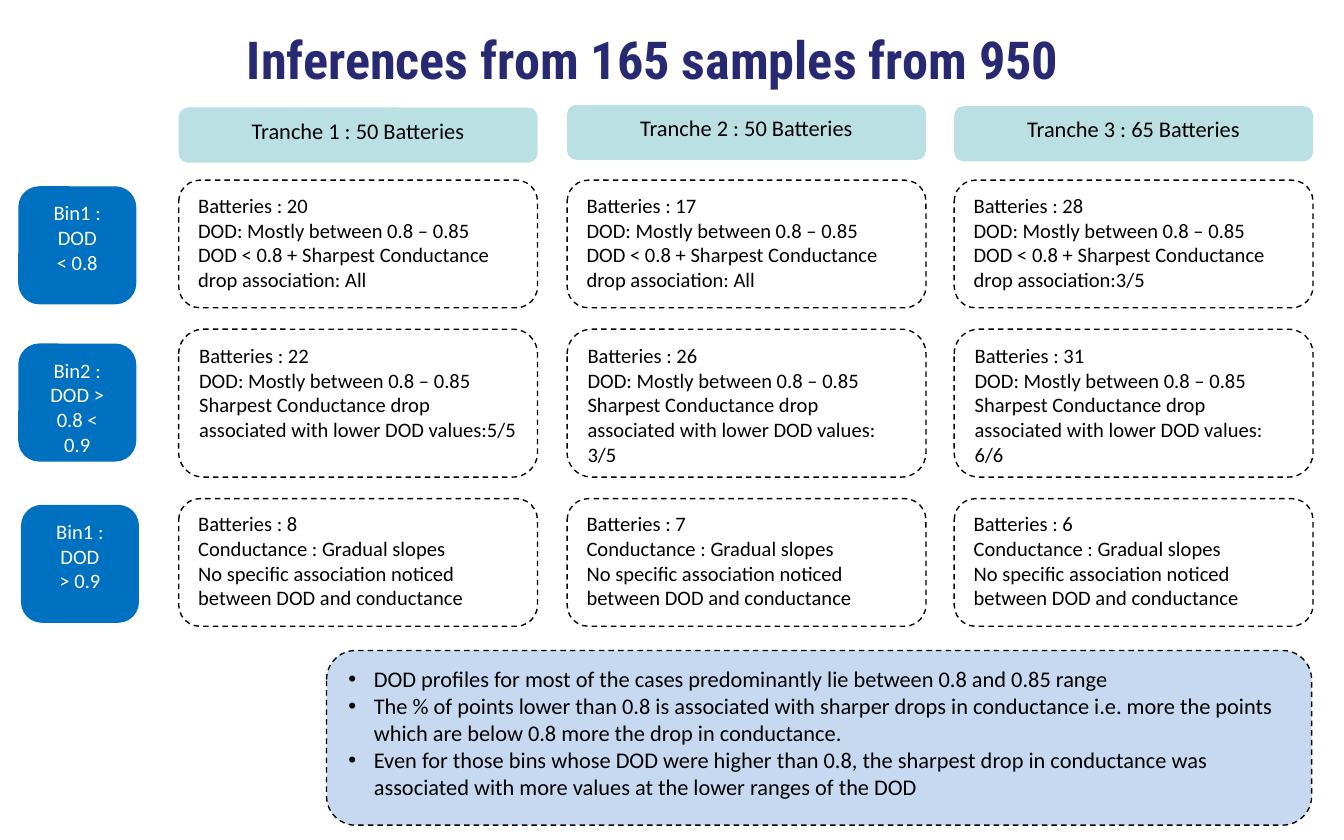
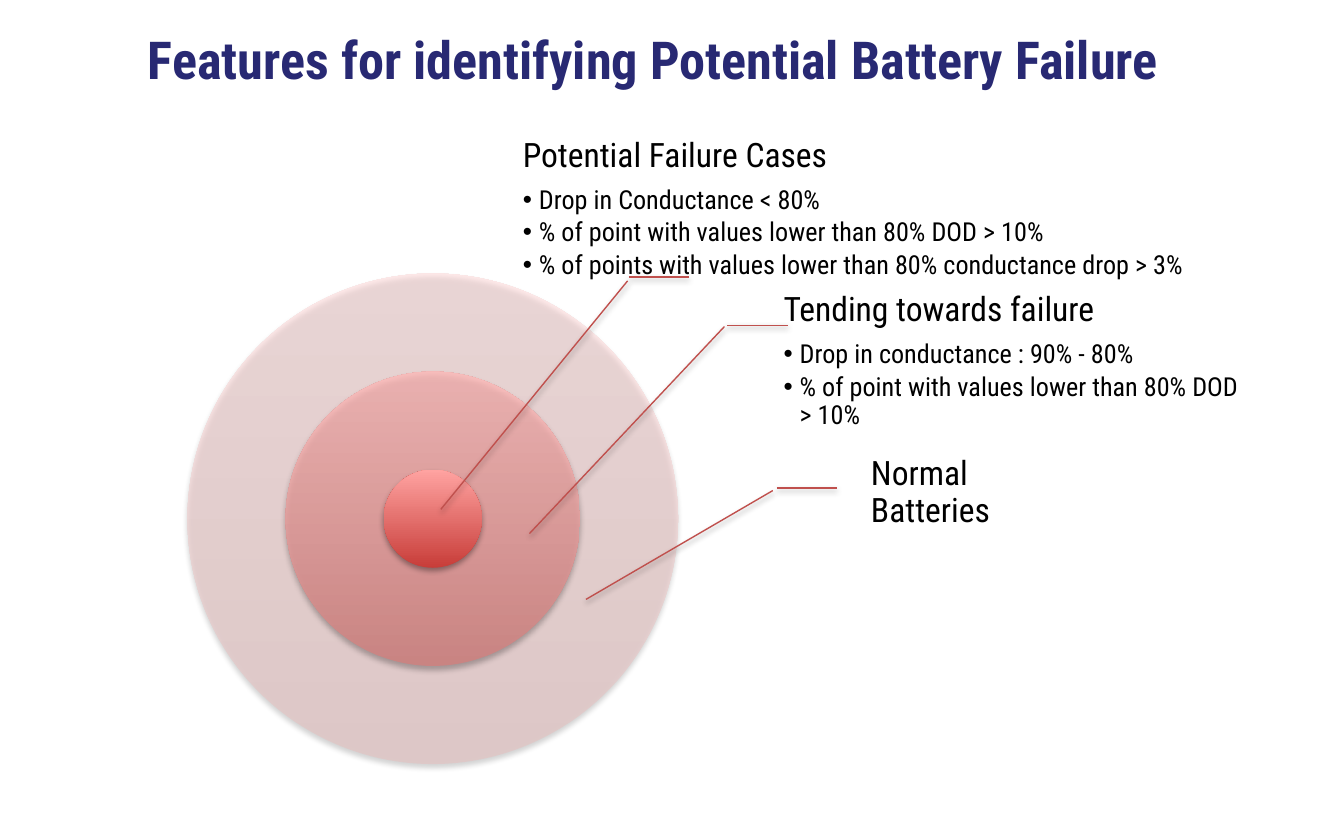
"""Builds two slides on battery inferences and failure features."""
from lxml.etree import SubElement
from pptx import Presentation
from pptx.dml.color import RGBColor
from pptx.enum.dml import MSO_LINE
from pptx.enum.shapes import MSO_CONNECTOR, MSO_SHAPE
from pptx.enum.text import MSO_ANCHOR, MSO_AUTO_SIZE, PP_ALIGN
from pptx.oxml.ns import qn
from pptx.util import Inches, Pt

NAVY, TEAL, BLUE, PALE = "282973", "BBE0E3", "0070C0", "C6D9F1"
BLACK, WHITE, RED = "000000", "FFFFFF", "C0504D"
BODY, HEAD = "Calibri", "Roboto Condensed"
rgb = RGBColor.from_string


def write(tf, texts, color, align=PP_ALIGN.LEFT, indent=0, **font):
    """Add paragraphs to a text frame, bulleted when an indent is given."""
    tf.word_wrap = True
    for text in texts:
        p = tf.paragraphs[0] if not tf.text else tf.add_paragraph()
        p.text, p.alignment = text, align
        for r in p.runs:
            r.font.color.rgb = rgb(color)
            for key, value in font.items():
                setattr(r.font, key, value)
        if indent:
            pPr = p._p.get_or_add_pPr()
            pPr.set("marL", str(Inches(indent)))
            pPr.set("indent", str(-Inches(indent)))
            SubElement(pPr, qn("a:buFont"), typeface="Arial")
            SubElement(pPr, qn("a:buChar"), char="•")


def cast_shadow(s, alpha, dist):
    """Give a shape or connector a soft shadow below it."""
    effects = SubElement(s._element.spPr, qn("a:effectLst"))
    shadow = SubElement(effects, qn("a:outerShdw"), blurRad=str(Pt(3.1)), dist=str(Pt(dist)),
                        dir="5400000", rotWithShape="0")
    clr = SubElement(shadow, qn("a:srgbClr"), val=BLACK)
    SubElement(clr, qn("a:alpha"), val=str(alpha * 1000))


prs = Presentation()
prs.slide_width, prs.slide_height = Inches(10), Inches(6.25)

slides = []
for title in ("Inferences from 165 samples from 950 ",
              "Features for identifying Potential Battery Failure "):
    slide = prs.slides.add_slide(prs.slide_layouts[5])
    sp = slide.shapes.title
    place = {"left": 0.45, "top": 0.16, "width": 8.9, "height": 0.55}
    for key, value in place.items():
        setattr(sp, key, Inches(value))
    sp.text_frame.auto_size = MSO_AUTO_SIZE.NONE
    sp.text_frame.vertical_anchor = MSO_ANCHOR.MIDDLE
    write(sp.text_frame, [title], NAVY, PP_ALIGN.CENTER, name=HEAD, size=Pt(28), bold=True)
    slides.append(slide)
grid, target = slides

MOSTLY = "DOD: Mostly between 0.8 – 0.85"
SHARP = "DOD < 0.8 + Sharpest Conductance drop association:"
LOWER = "Sharpest Conductance drop associated with lower DOD values:"
GRADUAL = "Conductance : Gradual slopes"
NONE_SEEN = "No specific association noticed between DOD and conductance"
rows = [
    (1.34, 0.95, MOSTLY, SHARP, [(20, " All"), (17, " All"), (28, "3/5")]),
    (2.45, 1.1, MOSTLY, LOWER, [(22, "5/5"), (26, " 3/5"), (31, " 6/6")]),
    (3.71, 0.95, GRADUAL, NONE_SEEN, [(8, ""), (7, ""), (6, "")]),
]
columns = [1.33, 4.22, 7.1]
card_w = 2.67
card = {"fill": None, "line": BLACK, "color": BLACK, "size": 11, "align": PP_ALIGN.LEFT}
header = {"fill": TEAL, "line": None, "color": BLACK, "size": 12, "align": PP_ALIGN.CENTER}
bin_box = {"fill": BLUE, "line": BLUE, "color": WHITE, "size": 11, "align": PP_ALIGN.CENTER}
summary = {**card, "fill": PALE, "size": 12, "indent": 0.19}

boxes = []
for top, height, finding, link, cells in rows:
    for x, (count, result) in zip(columns, cells):
        boxes.append((x, top, card_w, height, card,
                      [f"Batteries : {count}", finding, link + result]))
for i, (x, top, count) in enumerate(zip(columns, (0.8, 0.78, 0.79), (50, 50, 65)), 1):
    boxes.append((x, top, card_w, 0.41, header, [f"Tranche {i} : {count} Batteries"]))
boxes += [
    (0.15, 1.4, 0.85, 0.85, bin_box, ["Bin1 :", "DOD", "< 0.8"]),
    (0.15, 2.57, 0.85, 0.85, bin_box, ["Bin2 :", "DOD >\v0.8 <\v0.9"]),
    (0.17, 3.77, 0.85, 0.85, bin_box, ["Bin1 :", "DOD", "> 0.9"]),
    (2.43, 4.84, 7.33, 1.3, summary, [
        "DOD profiles for most of the cases predominantly lie between 0.8 and 0.85 range",
        "The % of points lower than 0.8 is associated with sharper drops in conductance i.e. "
        "more the points which are below 0.8 more the drop in conductance.",
        "Even for those bins whose DOD were higher than 0.8, the sharpest drop in conductance "
        "was associated with more values at the lower ranges of the DOD"]),
]
for x, y, w, h, style, texts in boxes:
    s = grid.shapes.add_shape(MSO_SHAPE.ROUNDED_RECTANGLE, *map(Inches, (x, y, w, h)))
    s.shadow.inherit = False
    if style["fill"]:
        s.fill.solid()
        s.fill.fore_color.rgb = rgb(style["fill"])
    else:
        s.fill.background()
    if style["line"]:
        s.line.color.rgb = rgb(style["line"])
        s.line.width = Pt(2 if style["line"] == BLUE else 0.75)
        if style["line"] == BLACK:
            s.line.dash_style = MSO_LINE.DASH
    else:
        s.line.fill.background()
    s.text_frame.vertical_anchor = MSO_ANCHOR.TOP
    write(s.text_frame, texts, style["color"], style["align"], style.get("indent", 0),
          name=BODY, size=Pt(style["size"]))

center_x, center_y = 3.22, 3.86
for size, dark, light, alpha in ((3.65, "E8BEBD", "FFD6D6", 50),
                                 (2.19, "D67F7D", "FFB8B7", 75),
                                 (0.73, "C83D39", "FFA3A1", 100)):
    s = target.shapes.add_shape(MSO_SHAPE.OVAL, Inches(center_x - size / 2),
                                Inches(center_y - size / 2), Inches(size), Inches(size))
    s.line.fill.background()
    s.fill.gradient()
    s.fill.gradient_angle = 90
    for stop, color, position in zip(s.fill.gradient_stops, (dark, light), (0, 1)):
        stop.color.rgb, stop.position = rgb(color), position
    for clr in s._element.spPr.iter(qn("a:srgbClr")):
        SubElement(clr, qn("a:alpha"), val=str(alpha * 1000))
    cast_shadow(s, 35, 1.8)

DOD_SHARE = "% of point with values lower than 80% DOD > 10%"
notes = [
    ((3.75, 1, 5.6, 1.06), MSO_ANCHOR.TOP, "Potential Failure Cases",
     ["Drop in Conductance < 80%", DOD_SHARE,
      "% of points with values lower than 80% conductance drop > 3%"]),
    ((5.69, 2.15, 3.66, 1.06), MSO_ANCHOR.TOP, "Tending towards failure",
     ["Drop in conductance : 90% - 80%", DOD_SHARE]),
    ((6.34, 3.42, 1.82, 0.5), MSO_ANCHOR.MIDDLE, "Normal\vBatteries", []),
]
for place, anchor, heading, points in notes:
    tf = target.shapes.add_textbox(*map(Inches, place)).text_frame
    insets = {"margin_left": 0.14, "margin_top": 0.03, "margin_right": 0.03, "margin_bottom": 0.03}
    for key, value in insets.items():
        setattr(tf, key, Inches(value))
    tf.vertical_anchor = anchor
    write(tf, [heading], BLACK, name=HEAD, size=Pt(18))
    write(tf, points, BLACK, indent=0.12, name=HEAD, size=Pt(14))
    for i, p in enumerate(tf.paragraphs):
        p.line_spacing = 0.9
        p.space_after = Pt(2.3 if i else 6.5)

leaders = [
    (4.68, 2.06, 5.13, 2.06), (4.67, 2.09, 3.28, 3.79),
    (5.41, 2.42, 5.86, 2.42), (5.39, 2.43, 3.94, 3.97),
    (5.78, 3.63, 6.23, 3.63), (5.75, 3.65, 4.36, 4.46),
]
for ends in leaders:
    s = target.shapes.add_connector(MSO_CONNECTOR.STRAIGHT, *map(Inches, ends))
    s.line.color.rgb = rgb(RED)
    s.line.width = Pt(0.75)
    cast_shadow(s, 38, 1.6)

prs.save("out.pptx")
